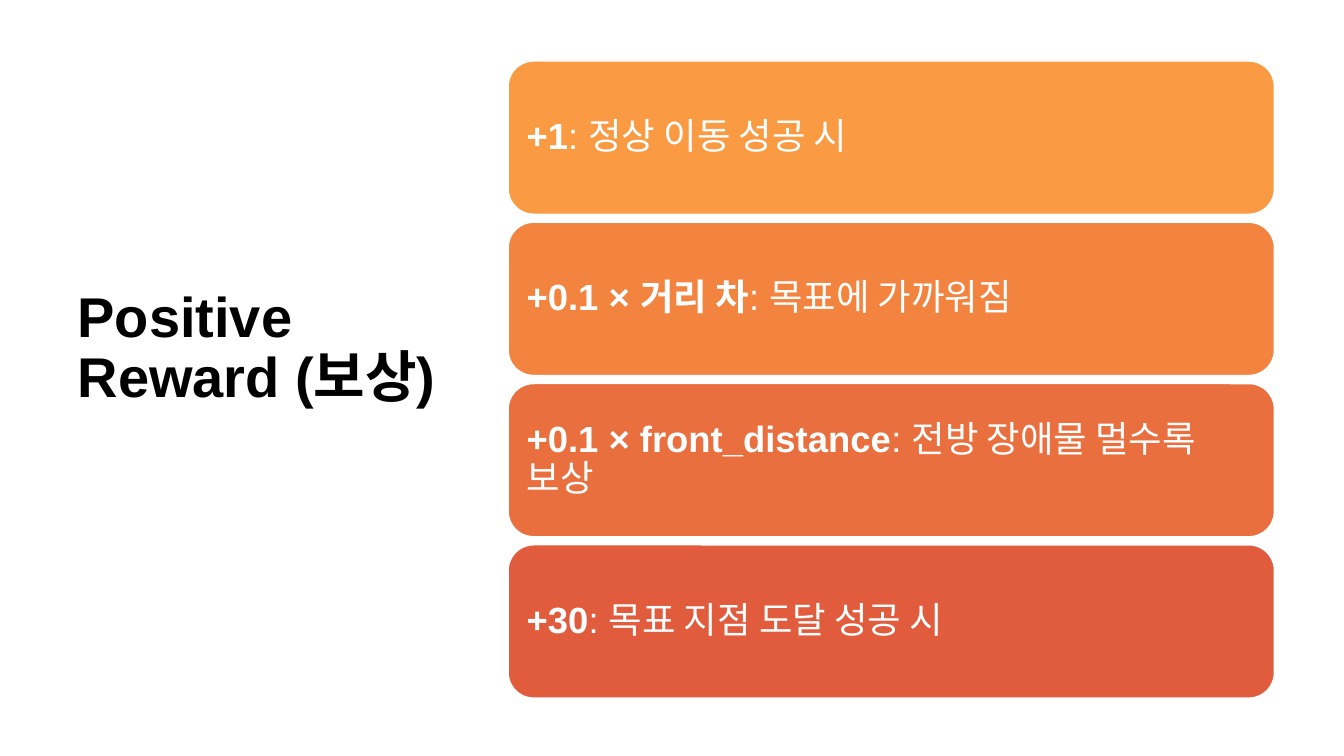
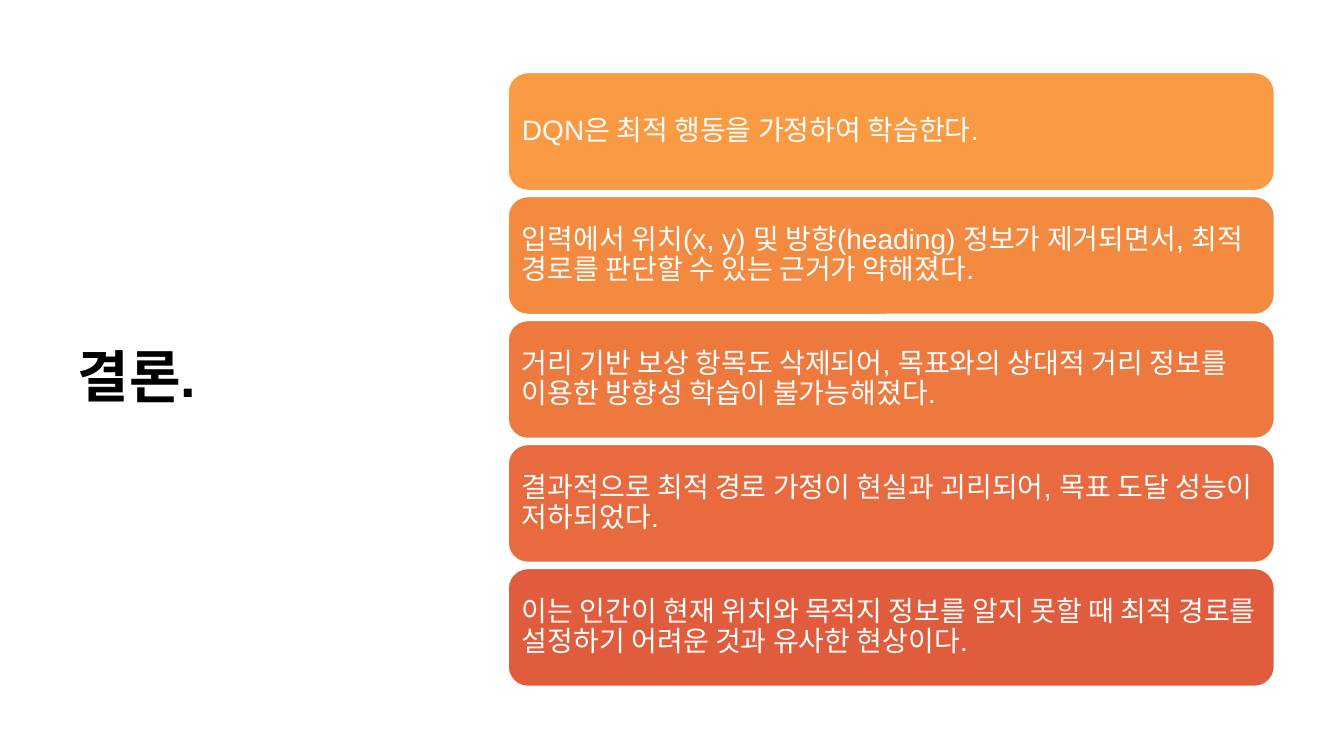
from pptx import Presentation
from pptx.dml.color import RGBColor
from pptx.enum.shapes import MSO_SHAPE
from pptx.enum.text import MSO_ANCHOR, MSO_AUTO_SIZE, PP_ALIGN
from pptx.util import Inches, Pt

ROUNDED = MSO_SHAPE.ROUNDED_RECTANGLE
MIDDLE = MSO_ANCHOR.MIDDLE
LEFT = PP_ALIGN.LEFT
NO_AUTOFIT = MSO_AUTO_SIZE.NONE

FONT = "Arial"
BLACK, WHITE = "000000", "FFFFFF"
TITLE_ONLY = 5

TITLE_LEFT, TITLE_WIDTH = 0.67, 3.82
CARD_LEFT, CARD_WIDTH = 5.04, 7.6
AREA_TOP, AREA_HEIGHT = 0.6, 6.33

# Each card is a list of (text, bold) runs; title_lift is extra bottom inset.
SLIDES = [
    {
        "title": "Positive Reward (보상)",
        "title_lift": 0.6,
        "cards": [
            [("+1", True), (": 정상 이동 성공 시", False)],
            [("+0.1 × 거리 차", True), (": 목표에 가까워짐", False)],
            [("+0.1 × front_distance", True), (": 전방 장애물 멀수록 보상", False)],
            [("+30", True), (": 목표 지점 도달 성공 시", False)],
        ],
        "fills": ["FA9A42", "F28440", "EA6F3E", "E15C3D"],
        "height": 1.52, "gap": 0.08, "inset": 0.11, "size": 26,
    },
    {
        "title": "결론.",
        "title_lift": 0,
        "cards": [
            [("DQN은 최적 행동을 가정하여 학습한다.", False)],
            [("입력에서 위치(x, y) 및 방향(heading) 정보가 제거되면서, "
              "최적 경로를 판단할 수 있는 근거가 약해졌다.", False)],
            [("거리 기반 보상 항목도 삭제되어, 목표와의 상대적 거리 정보를 "
              "이용한 방향성 학습이 불가능해졌다.", False)],
            [("결과적으로 최적 경로 가정이 현실과 괴리되어, "
              "목표 도달 성능이 저하되었다.", False)],
            [("이는 인간이 현재 위치와 목적지 정보를 알지 못할 때 최적 경로를 "
              "설정하기 어려운 것과 유사한 현상이다.", False)],
        ],
        "fills": ["FA9A42", "F48940", "EE793F", "E86A3E", "E15C3D"],
        "height": 1.17, "gap": 0.06, "inset": 0.08, "size": 20,
    },
]


def color(hex_string):
    return RGBColor.from_string(hex_string)


def write_text(shape, runs, *, size, font_color, inset=(0.1, 0.05), lift=0):
    """Fill a shape with one left-aligned paragraph of (text, bold) runs."""
    frame = shape.text_frame
    frame.word_wrap = True
    frame.auto_size = NO_AUTOFIT
    frame.vertical_anchor = MIDDLE
    frame.margin_left = frame.margin_right = Inches(inset[0])
    frame.margin_top = Inches(inset[1])
    frame.margin_bottom = Inches(inset[1] + lift)
    paragraph = frame.paragraphs[0]
    paragraph.alignment = LEFT
    paragraph.line_spacing = 0.9
    for text, bold in runs:
        run = paragraph.add_run()
        run.text = text
        run.font.name = FONT
        run.font.size = Pt(size)
        run.font.bold = bold
        run.font.color.rgb = color(font_color)


def add_card(slide, top, height, fill):
    card = slide.shapes.add_shape(
        ROUNDED, Inches(CARD_LEFT), Inches(top), Inches(CARD_WIDTH), Inches(height))
    card.shadow.inherit = False
    card.fill.solid()
    card.fill.fore_color.rgb = color(fill)
    card.line.color.rgb = color(WHITE)
    card.line.width = Pt(1)
    return card


def place_title(layout):
    title = layout.placeholders[0]
    title.left, title.top = Inches(TITLE_LEFT), Inches(AREA_TOP)
    title.width, title.height = Inches(TITLE_WIDTH), Inches(AREA_HEIGHT)


def build_slide(presentation, content):
    slide = presentation.slides.add_slide(presentation.slide_layouts[TITLE_ONLY])
    write_text(slide.shapes.title, [(content["title"], True)], size=40,
               font_color=BLACK, lift=content["title_lift"])

    height, gap, inset = content["height"], content["gap"], content["inset"]
    pitch = height + gap
    stack_height = len(content["cards"]) * pitch - gap
    first_top = AREA_TOP + (AREA_HEIGHT - stack_height) / 2
    for row, (runs, fill) in enumerate(zip(content["cards"], content["fills"])):
        card = add_card(slide, first_top + row * pitch, height, fill)
        write_text(card, runs, size=content["size"], font_color=WHITE,
                   inset=(inset, inset))


def main():
    presentation = Presentation()
    presentation.slide_width = Inches(13.33)
    presentation.slide_height = Inches(7.5)
    place_title(presentation.slide_layouts[TITLE_ONLY])
    for content in SLIDES:
        build_slide(presentation, content)
    presentation.save("out.pptx")


if __name__ == "__main__":
    main()
